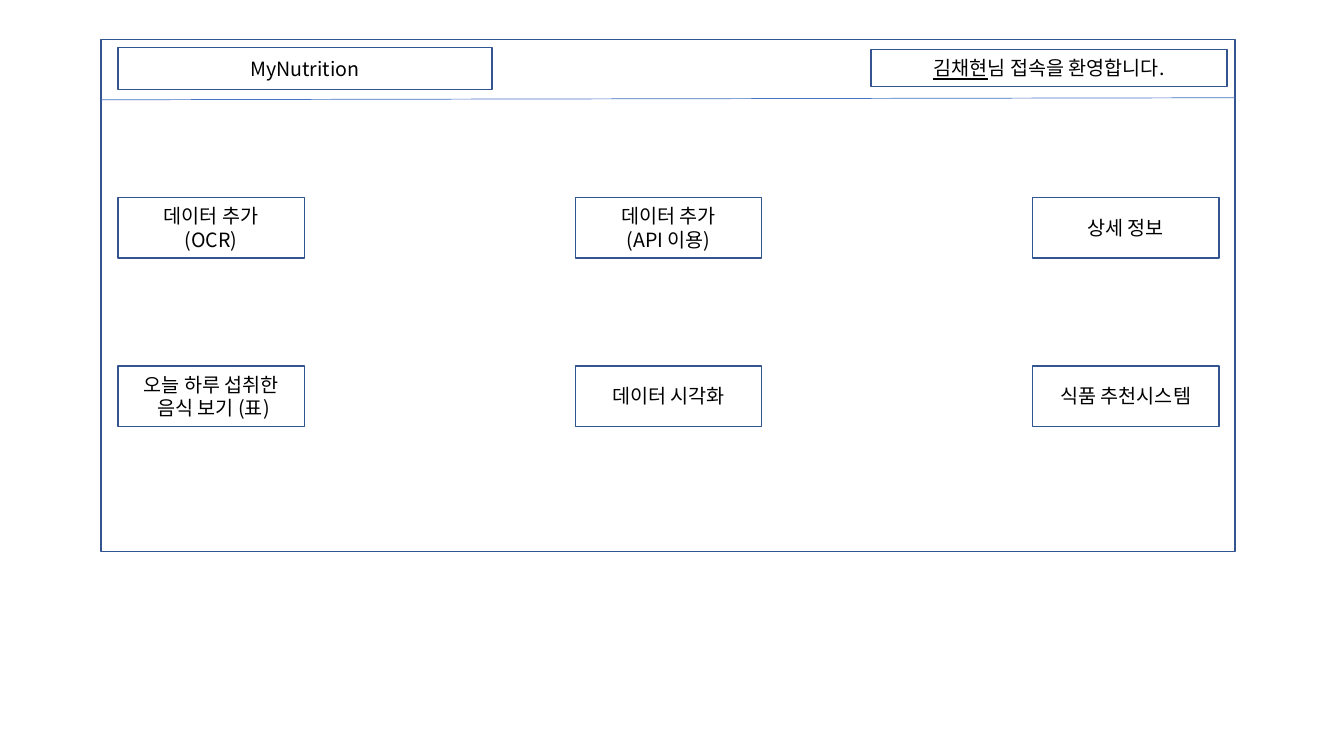
"""Build the MyNutrition main screen wireframe slide."""
from dataclasses import dataclass

from lxml import etree
from pptx import Presentation
from pptx import util as u
from pptx.dml import color
from pptx.enum import shapes, text
from pptx.oxml import ns
from pptx.shapes.autoshape import Shape
from pptx.slide import Slide

FONT = "Noto Sans CJK KR"
OUTLINE = "325491"
DIVIDER = "4472C4"
INK = "000000"

MENU_LEFT, MENU_TOP = 1.17, 1.96
MENU_WIDTH, MENU_HEIGHT = 1.85, 0.6
COLUMN_STEP, ROW_STEP = 4.535, 1.67
MENU = [
    ["데이터 추가\n(OCR)", "데이터 추가\n(API 이용)", "상세 정보"],
    ["오늘 하루 섭취한\v 음식 보기 (표)", "데이터 시각화", "식품 추천시스템"],
]
USER = "김채현"
GREETING = "님 접속을 환영합니다."


@dataclass(frozen=True)
class Box:
    """A rectangle in inches with its label."""

    left: float
    top: float
    width: float
    height: float
    label: str = ""


def rgb(value: str) -> color.RGBColor:
    """Turn a hex string into a colour."""
    return color.RGBColor.from_string(value)


def format_label(box: Shape) -> None:
    """Centre the label and style all its runs."""
    box.text_frame.vertical_anchor = text.MSO_ANCHOR.MIDDLE
    for paragraph in box.text_frame.paragraphs:
        paragraph.alignment = text.PP_ALIGN.CENTER
        for run in paragraph.runs:
            run.font.size = u.Pt(14)
            run.font.name = FONT
            run.font.color.rgb = rgb(INK)
            east_asian = etree.Element(ns.qn("a:ea"), typeface=FONT)
            run.font._element.find(ns.qn("a:latin")).addnext(east_asian)


def draw_box(slide: Slide, box: Box) -> Shape:
    """Draw an outlined rectangle with its label."""
    drawn = slide.shapes.add_shape(
        shapes.MSO_SHAPE.RECTANGLE,
        u.Inches(box.left), u.Inches(box.top),
        u.Inches(box.width), u.Inches(box.height),
    )
    drawn.shadow.inherit = False
    drawn.fill.background()
    drawn.line.color.rgb = rgb(OUTLINE)
    drawn.line.width = u.Pt(1)
    if box.label:
        drawn.text_frame.text = box.label
        format_label(drawn)
    return drawn


def draw_divider(slide: Slide) -> None:
    """Draw the line under the header."""
    divider = slide.shapes.add_connector(
        shapes.MSO_CONNECTOR.STRAIGHT,
        u.Inches(1), u.Inches(0.99), u.Inches(12.25), u.Inches(0.97),
    )
    divider.line.color.rgb = rgb(DIVIDER)
    divider.line.width = u.Pt(0.5)
    etree.SubElement(divider._element.spPr, ns.qn("a:effectLst"))


def draw_welcome(slide: Slide) -> None:
    """Draw the greeting with the user's name underlined."""
    welcome = draw_box(slide, Box(8.64, 0.49, 3.53, 0.37, USER))
    paragraph = welcome.text_frame.paragraphs[0]
    paragraph.runs[0].font.underline = True
    greeting = paragraph.add_run()
    greeting.text = GREETING
    greeting.font.underline = False
    format_label(welcome)


def main() -> None:
    """Build and save the slide."""
    deck = Presentation()
    deck.slide_width, deck.slide_height = u.Inches(13.33), u.Inches(7.5)
    slide = deck.slides.add_slide(deck.slide_layouts[6])

    draw_box(slide, Box(1, 0.39, 11.25, 5.08))
    draw_divider(slide)
    draw_box(slide, Box(1.17, 0.47, 3.71, 0.42, "MyNutrition"))
    draw_welcome(slide)
    for row, labels in enumerate(MENU):
        for column, label in enumerate(labels):
            left = MENU_LEFT + column * COLUMN_STEP
            top = MENU_TOP + row * ROW_STEP
            draw_box(slide, Box(left, top, MENU_WIDTH, MENU_HEIGHT, label))

    deck.save("out.pptx")


if __name__ == "__main__":
    main()
